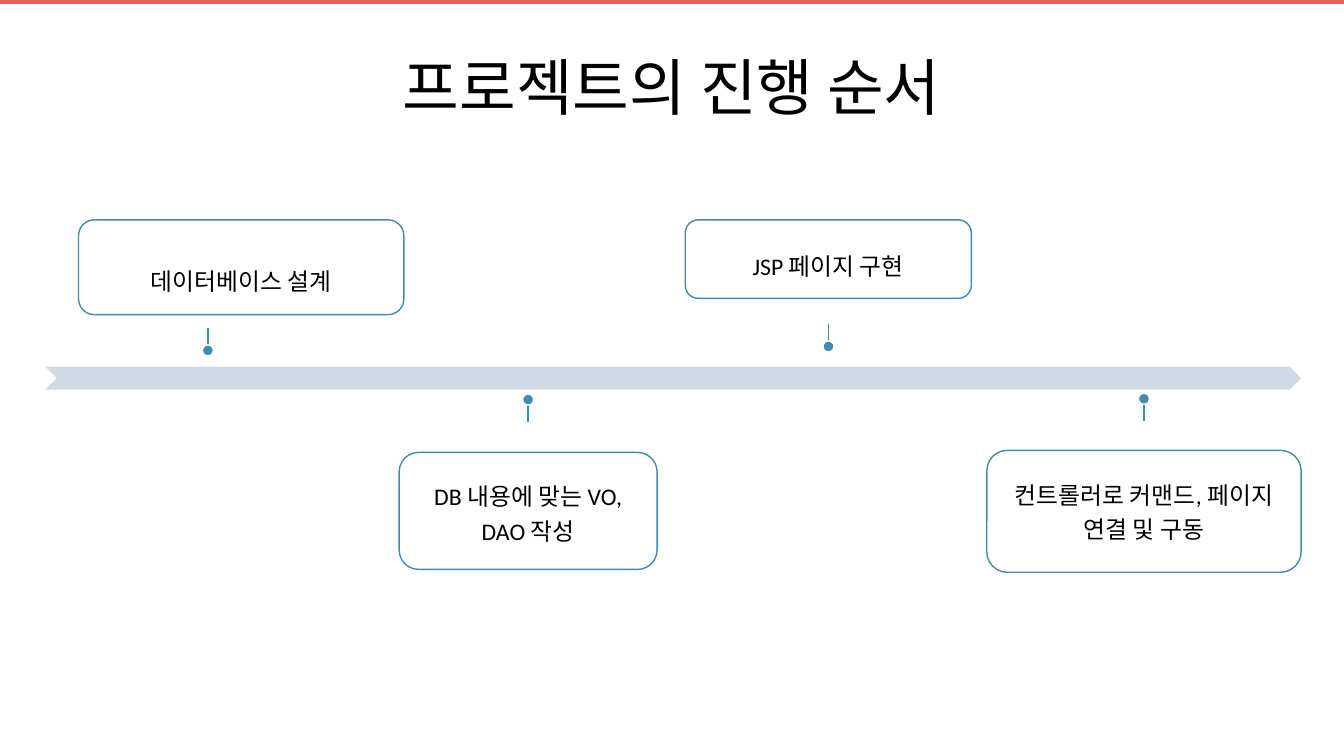
from dataclasses import dataclass

from lxml.etree import SubElement
from pptx import Presentation
from pptx.dml.color import RGBColor
from pptx.enum.shapes import MSO_CONNECTOR as Link, MSO_SHAPE as Kind
from pptx.enum.text import MSO_ANCHOR as Anchor, PP_ALIGN as Align
from pptx.oxml.ns import qn
from pptx.shapes.autoshape import Shape
from pptx.text.text import TextFrame
from pptx.util import Cm, Pt

RED = RGBColor(0xF0, 0x5F, 0x5C)
PALE = RGBColor(0xCF, 0xDA, 0xE5)
BLUE = RGBColor(0x41, 0x8A, 0xB3)
WHITE = RGBColor(0xFF, 0xFF, 0xFF)
BLACK = RGBColor(0, 0, 0)
FONT = "Calibri"
WIDTH, HEIGHT = 33.87, 19.05
DOT, STEM = 0.28, 0.43


@dataclass
class Step:
    text: str
    left: float
    top: float
    width: float
    height: float
    pin: float  # centre of the marker
    dot: float  # top of the marker's dot
    above: bool  # card lies above the arrow


STEPS = [
    Step("데이터베이스 설계", 1.98, 5.54, 8.2, 2.39, 5.24, 8.69, True),
    Step("DB 내용에 맞는 VO, DAO 작성", 10.06, 11.4, 6.5, 2.95, 13.31, 9.93, False),
    Step("JSP 페이지 구현", 17.27, 5.54, 7.21, 1.98, 20.88, 8.59, True),
    Step("컨트롤러로 커맨드, 페이지 연결 및 구동", 24.87, 11.35, 7.92, 3.07, 28.83, 9.91, False),
]

deck = Presentation()
deck.slide_width, deck.slide_height = Cm(WIDTH), Cm(HEIGHT)
slide = deck.slides.add_slide(deck.slide_layouts[6])
shapes = slide.shapes


def draw(kind: Kind, left: float, top: float, width: float, height: float,
         fill: RGBColor, edge: RGBColor | None = None) -> Shape:
    shape = shapes.add_shape(kind, Cm(left), Cm(top), Cm(width), Cm(height))
    shape.shadow.inherit = False
    shape.fill.solid()
    shape.fill.fore_color.rgb = fill
    if edge is None:
        shape.line.fill.background()
    else:
        shape.line.color.rgb = edge
        shape.line.width = Pt(1)
    return shape


def write(frame: TextFrame, text: str, size: int, anchor: Anchor) -> None:
    frame.word_wrap = True
    frame.vertical_anchor = anchor
    para = frame.paragraphs[0]
    para.alignment = Align.CENTER
    run = para.add_run()
    run.text = text
    run.font.name, run.font.size = FONT, Pt(size)
    run.font.color.rgb = BLACK


def add_card(step: Step) -> None:
    card = draw(Kind.ROUNDED_RECTANGLE, step.left, step.top, step.width,
                step.height, WHITE, BLUE)
    tint = card.fill._xPr.find(qn("a:solidFill"))[0]
    SubElement(tint, qn("a:alpha"), val="90000")
    frame = card.text_frame
    write(frame, step.text, 17, Anchor.BOTTOM if step.above else Anchor.TOP)
    frame.margin_left = frame.margin_right = Cm(0.25)
    frame.margin_top, frame.margin_bottom = Cm(0.46), Cm(0.36)
    para = frame.paragraphs[0]
    para.line_spacing, para.space_after = 1.2, Pt(6)


def add_pin(step: Step) -> None:
    top = step.dot - STEM if step.above else step.dot + DOT
    stem = shapes.add_connector(Link.STRAIGHT, Cm(step.pin), Cm(top),
                                Cm(step.pin), Cm(top + STEM))
    stem.line.color.rgb = BLUE
    stem.line.width = Pt(1)
    SubElement(stem._element.spPr, qn("a:effectLst"))
    draw(Kind.OVAL, step.pin - DOT / 2, step.dot, DOT, DOT, BLUE, WHITE)


# Top band and title
draw(Kind.RECTANGLE, 0, 0, WIDTH, 0.1, RED)
title = shapes.add_textbox(Cm(2.33), Cm(1.01), Cm(29.21), Cm(2.31))
write(title.text_frame, "프로젝트의 진행 순서", 44, Anchor.MIDDLE)

# Timeline arrow
draw(Kind.CHEVRON, 1.14, 9.24, 31.65, 0.58, PALE)

# Steps
for step in STEPS:
    add_card(step)
    add_pin(step)

deck.save("out.pptx")
